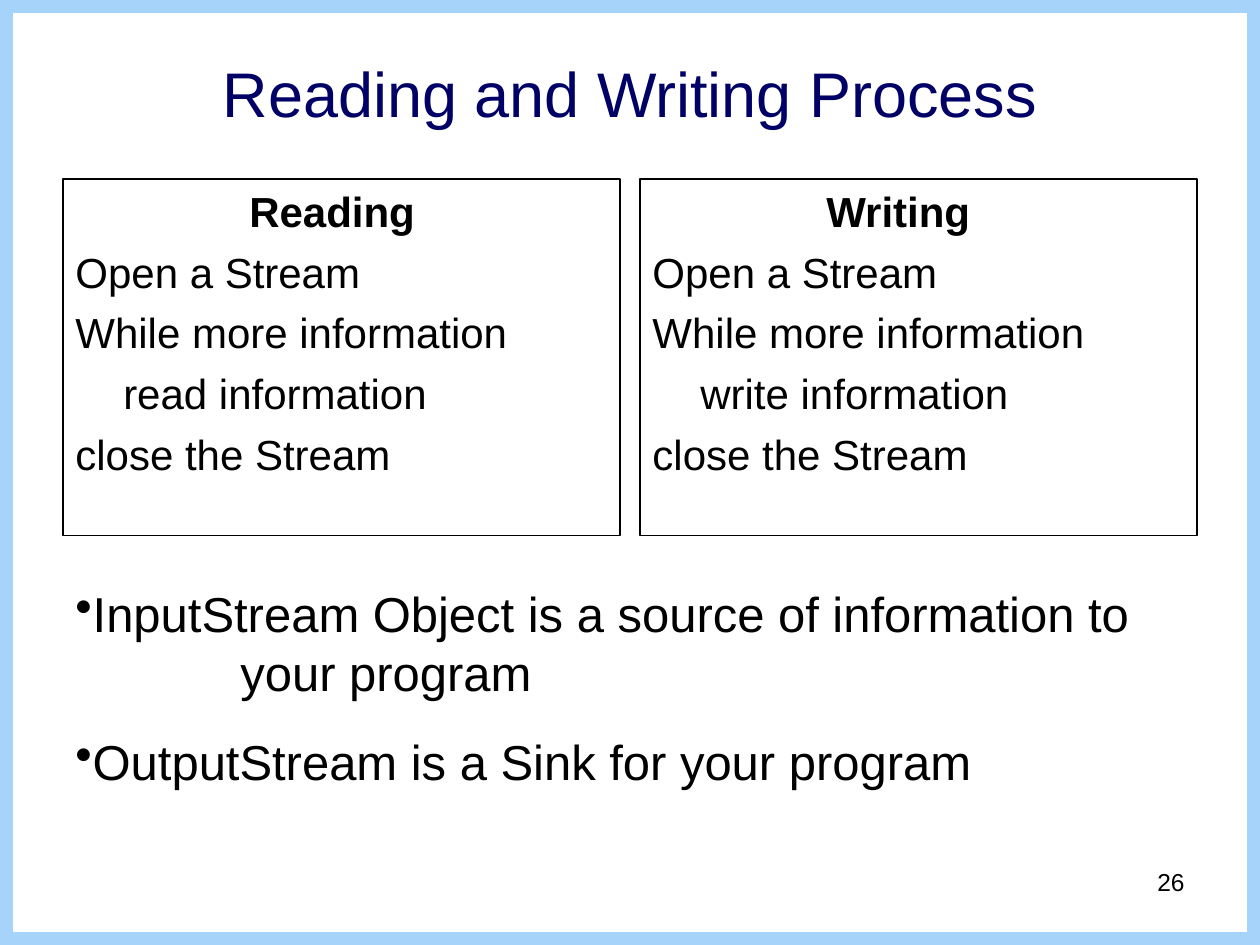
from lxml.etree import SubElement
from pptx import Presentation
from pptx.dml.color import RGBColor
from pptx.enum.shapes import MSO_SHAPE
from pptx.enum.text import MSO_ANCHOR, PP_ALIGN
from pptx.oxml.ns import qn
from pptx.util import Inches, Pt

FRAME_BLUE = RGBColor(0xA5, 0xD3, 0xF9)
TITLE_NAVY = RGBColor(0x00, 0x00, 0x66)
BLACK = RGBColor(0x00, 0x00, 0x00)

STEP_INDENT = 0.38
HEADING_INDENT = 1.38
CONTINUATION_TAB = 1.31
MARGIN = 0.5
PANEL_WIDTH = 4.42
PANEL_GAP = 0.16


def add_frame(page, deck):
    frame = page.shapes.add_shape(
        MSO_SHAPE.RECTANGLE, 0, 0, deck.slide_width, deck.slide_height)
    frame.shadow.inherit = False
    frame.fill.background()
    frame.line.color.rgb = FRAME_BLUE
    frame.line.width = Pt(15)


def add_box(page, left, top, width, height):
    box = page.shapes.add_textbox(
        Inches(left), Inches(top), Inches(width), Inches(height))
    box.text_frame.word_wrap = True
    return box


def next_para(box):
    """Return the unused first paragraph, or a new one."""
    first = box.text_frame.paragraphs[0]
    return box.text_frame.add_paragraph() if first.runs else first


def add_span(para, text, size, color=BLACK, bold=False):
    span = para.add_run()
    span.text = text
    span.font.name = "Arial"
    span.font.size = Pt(size)
    span.font.color.rgb = color
    span.font.bold = bold


def add_line(page, place, text, size, align, color=BLACK, anchor=MSO_ANCHOR.TOP):
    """Add a box that holds a single line of text."""
    box = add_box(page, *place)
    box.text_frame.vertical_anchor = anchor
    para = next_para(box)
    para.alignment = align
    add_span(para, text, size, color)


def add_panel(page, left, heading, action):
    box = add_box(page, left, 1.42, PANEL_WIDTH, 2.83)
    box.line.color.rgb = BLACK
    box.line.width = Pt(0.75)
    lines = [
        (heading, HEADING_INDENT, True),
        ("Open a Stream", 0, False),
        ("While more information", 0, False),
        (f"{action} information", STEP_INDENT, False),
        ("close the Stream", 0, False),
    ]
    for text, indent, bold in lines:
        para = next_para(box)
        para.space_before = Pt(6)
        para._p.get_or_add_pPr().set("marL", str(Inches(indent)))
        add_span(para, text, 24, bold=bold)


def set_bullet(para):
    """Give the paragraph a bullet and a tab stop for its continuation line."""
    props = para._p.get_or_add_pPr()
    color = SubElement(props, qn("a:buClr"))
    SubElement(color, qn("a:srgbClr"), val=str(BLACK))
    SubElement(props, qn("a:buChar"), char="•")
    tabs = SubElement(props, qn("a:tabLst"))
    SubElement(tabs, qn("a:tab"), pos=str(Inches(CONTINUATION_TAB)), algn="l")


def add_bullets(page, bullets):
    """Add bullets, each a list of lines; later lines start at the tab stop."""
    box = add_box(page, MARGIN, 4.58, 9, 1.75)
    for first, *continuations in bullets:
        para = next_para(box)
        para.space_before = Pt(17.5)
        set_bullet(para)
        add_span(para, first, 28)
        for text in continuations:
            para.add_line_break()
            add_span(para, "\t" + text, 28)


def main():
    deck = Presentation()
    deck.slide_width, deck.slide_height = Inches(10), Inches(7.5)
    page = deck.slides.add_slide(deck.slide_layouts[6])

    add_frame(page, deck)
    add_line(page, (7.17, 6.83, 2.33, 0.52), "26", 14, PP_ALIGN.RIGHT)
    add_line(page, (MARGIN, 0.3, 9, 0.87), "Reading and Writing Process", 36,
             PP_ALIGN.CENTER, TITLE_NAVY, MSO_ANCHOR.MIDDLE)
    for column, (heading, action) in enumerate(
            [("Reading", "read"), ("Writing", "write")]):
        left = MARGIN + column * (PANEL_WIDTH + PANEL_GAP)
        add_panel(page, left, heading, action)
    add_bullets(page, [
        ["InputStream Object is a source of information to", "your program"],
        ["OutputStream is a Sink for your program"],
    ])
    deck.save("out.pptx")


if __name__ == "__main__":
    main()
